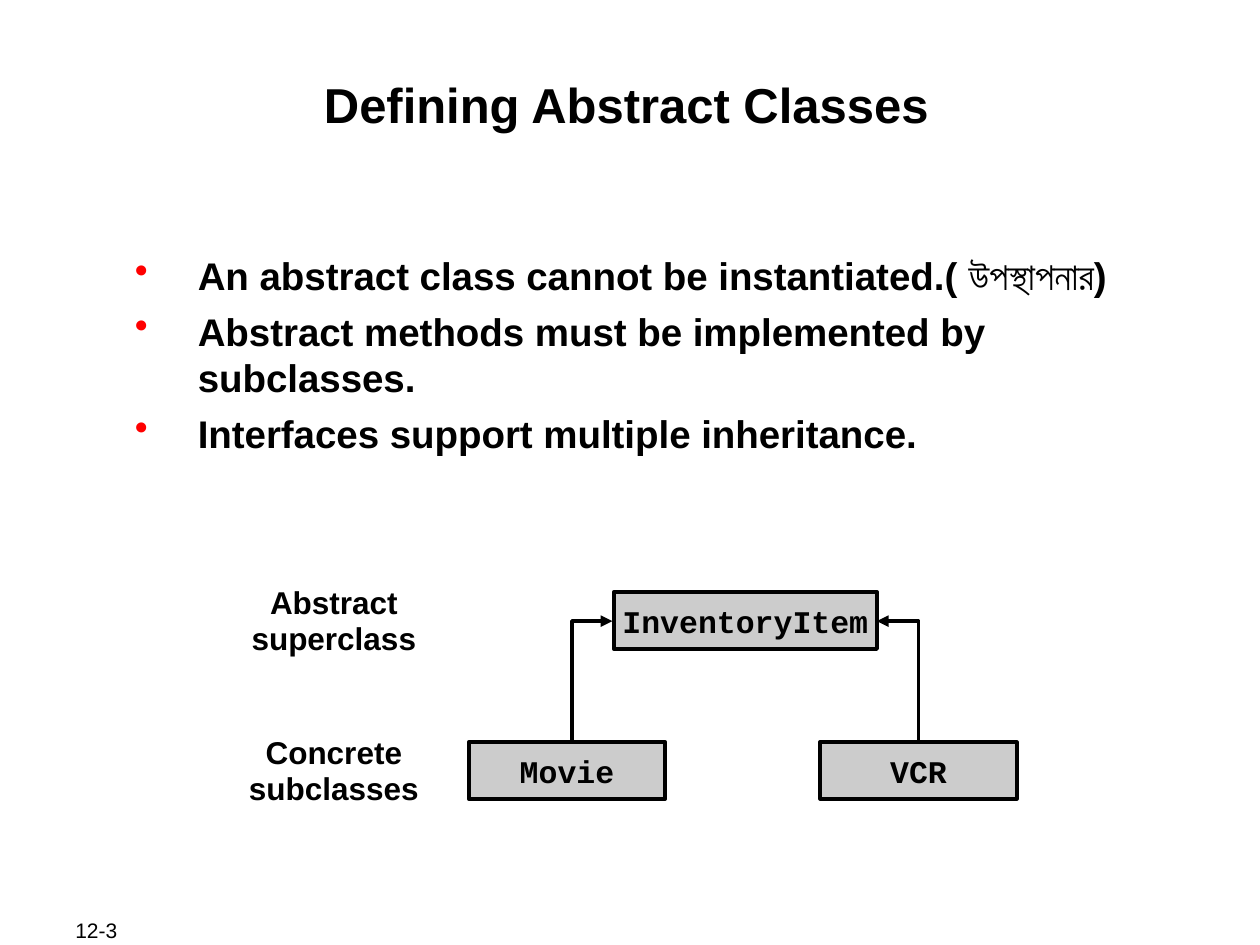
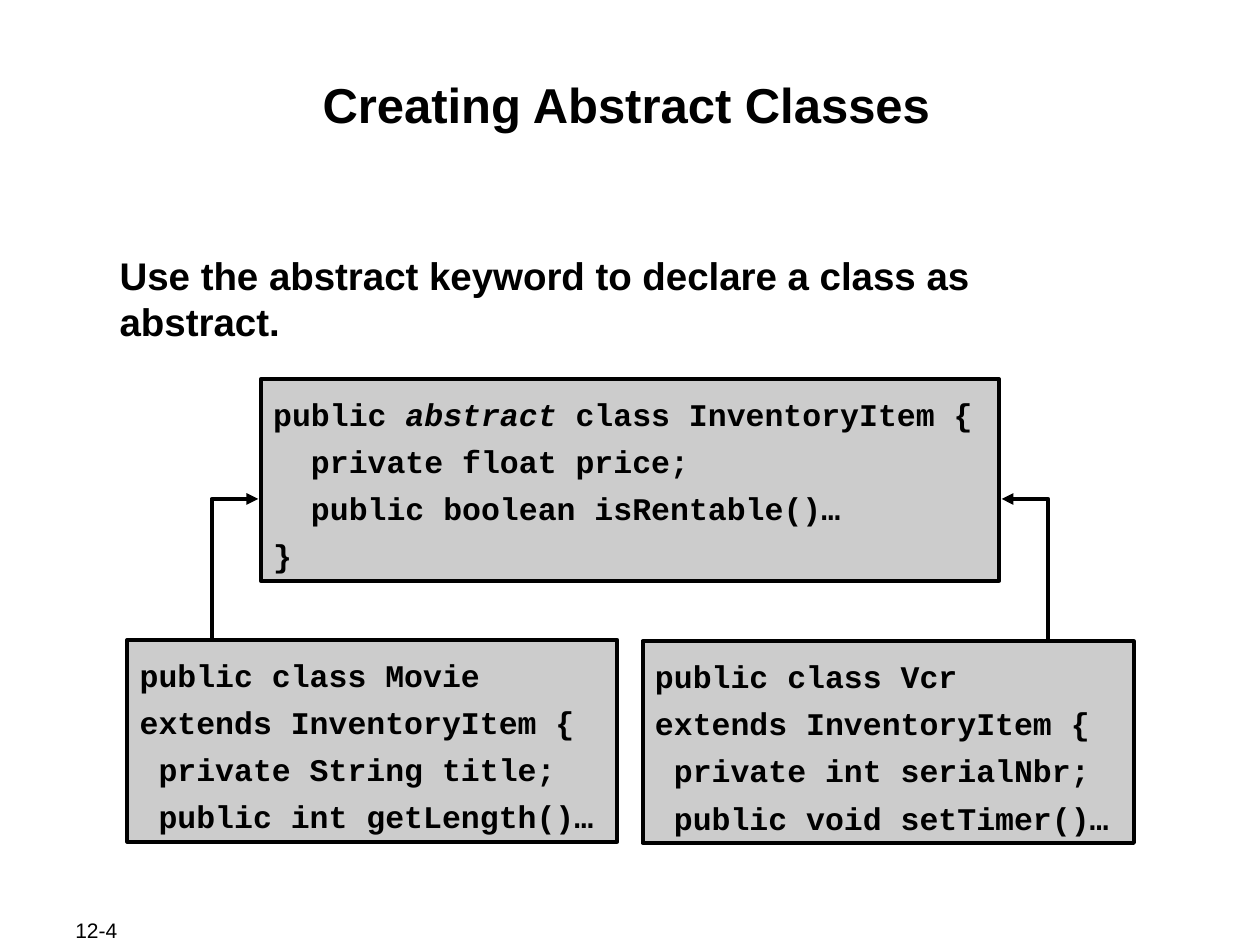
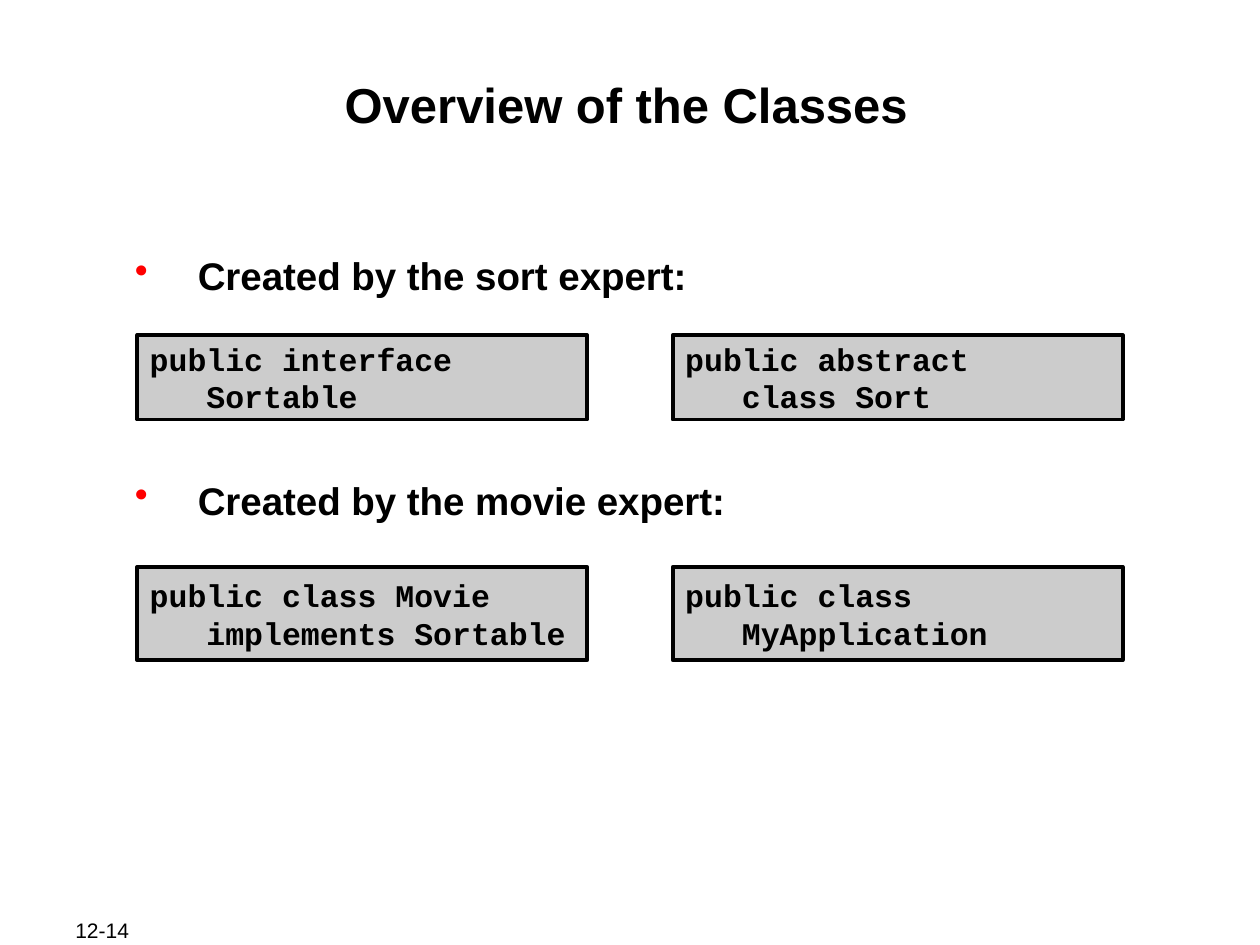
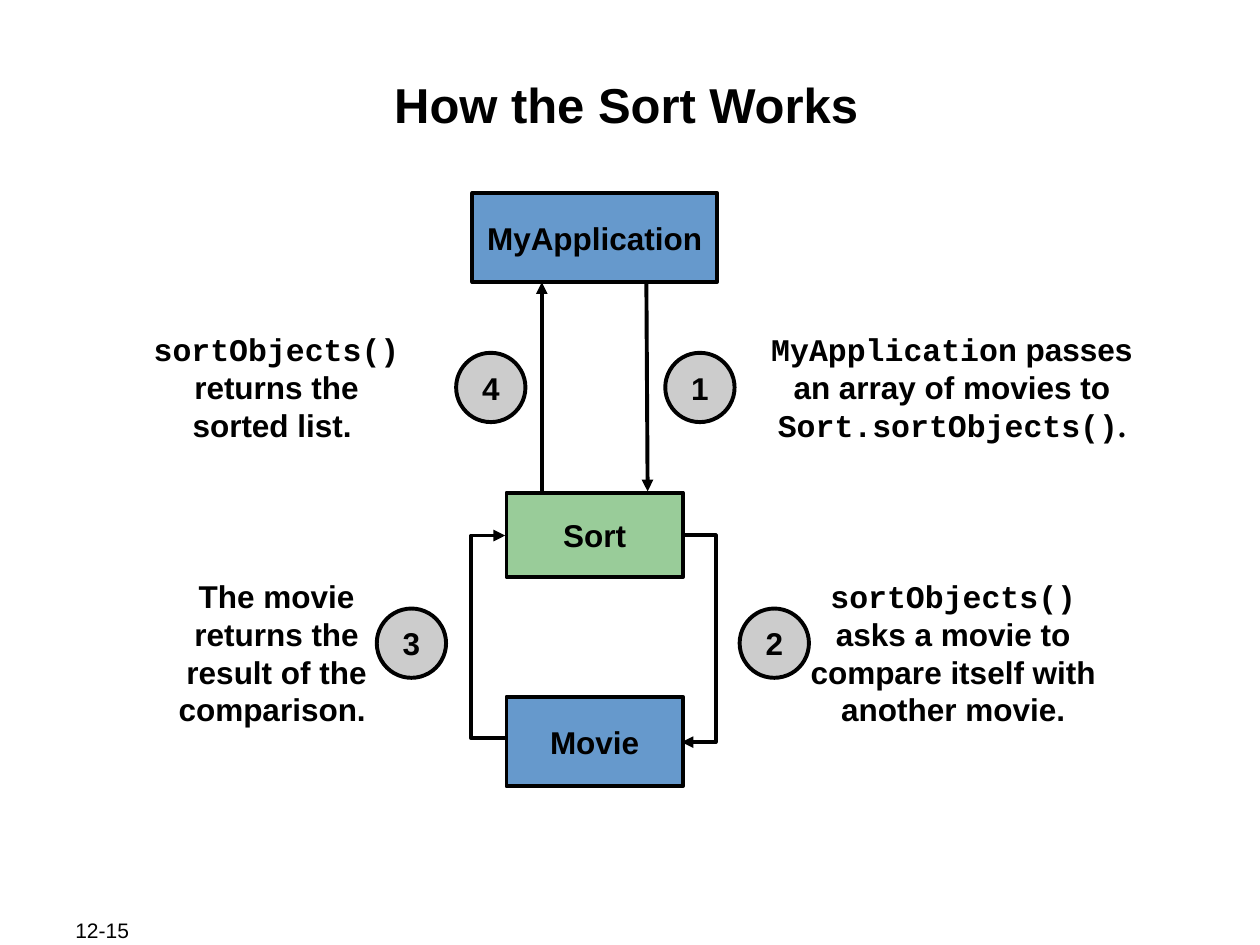
"""Build four slides on abstract classes and sorting."""
from lxml.etree import SubElement
from pptx import Presentation
from pptx.dml.color import RGBColor
from pptx.enum.shapes import MSO_CONNECTOR, MSO_SHAPE
from pptx.enum.text import MSO_ANCHOR, PP_ALIGN
from pptx.oxml.ns import qn
from pptx.util import Inches, Pt

HUES = {"ink": "000000", "gray": "CCCCCC", "blue": "6699CC",
        "green": "99CC99", "dot": "FF0000", "page": "FFFFFF"}
SANS, CODE, SERIF = "Arial", "Courier New", "Times New Roman"
EDGE = 2.24
CHAR = 0.15
BOX, ROUND = MSO_SHAPE.RECTANGLE, MSO_SHAPE.OVAL


def put(slide, text, at, kind=None, fill="gray", face=SANS, size=18, bold=True,
        align="CENTER", wrap=True, anchor="TOP", pad=(0.1, 0.05),
        before=0, lead=None, dots=False):
    """Add a text box or filled shape; leading spaces of a line set its indent."""
    place = [Inches(n) for n in at]
    if kind is None:
        shape = slide.shapes.add_textbox(*place)
    else:
        shape = slide.shapes.add_shape(kind, *place)
        shape.shadow.inherit = False
        shape.fill.solid()
        shape.fill.fore_color.rgb = RGBColor.from_string(HUES[fill])
        shape.line.color.rgb = RGBColor.from_string(HUES["ink"])
        shape.line.width = Pt(EDGE)
    frame = shape.text_frame
    frame.word_wrap = wrap
    frame.vertical_anchor = MSO_ANCHOR[anchor]
    frame.margin_left = frame.margin_right = Inches(pad[0])
    frame.margin_top = frame.margin_bottom = Inches(pad[1])
    for i, line in enumerate([text] if isinstance(text, str) else text):
        para = frame.add_paragraph() if i else frame.paragraphs[0]
        para.alignment = PP_ALIGN[align]
        para.space_before = Pt(before)
        if lead:
            para.line_spacing = lead
        runs = [(line, face, False)] if isinstance(line, str) else line
        depth = len(runs[0][0]) - len(runs[0][0].lstrip())
        props = para._p.get_or_add_pPr()
        if depth:
            props.set("marL", str(Inches(depth * CHAR)))
        if dots:
            props.set("marL", str(Inches(0.62)))
            props.set("indent", str(Inches(-0.5)))
            tint = SubElement(props, qn("a:buClr"))
            SubElement(tint, qn("a:srgbClr"), val=HUES["dot"])
            SubElement(props, qn("a:buChar"), char="•")
        for words, name, slant in runs:
            run = para.add_run()
            run.text = words[depth:] if words == runs[0][0] else words
            run.font.name, run.font.size = name, Pt(size)
            run.font.bold, run.font.italic = bold, slant
            run.font.color.rgb = RGBColor.from_string(HUES["ink"])


def join(slide, *points):
    """Draw an arrow through the points, with its head at the last one."""
    spots = [(Inches(x), Inches(y)) for x, y in points]
    if len(spots) == 2:
        arrow = slide.shapes.add_connector(MSO_CONNECTOR.STRAIGHT, *spots[0], *spots[1])
    else:
        path = slide.shapes.build_freeform(*spots[0])
        path.add_line_segments(spots[1:], close=False)
        arrow = path.convert_to_shape()
        arrow.fill.background()
    arrow.line.color.rgb = RGBColor.from_string(HUES["ink"])
    arrow.line.width = Pt(EDGE)
    props = arrow._element.spPr
    SubElement(props.find(qn("a:ln")), qn("a:tailEnd"), type="triangle")
    SubElement(props, qn("a:effectLst"))


deck = Presentation()
deck.slide_width, deck.slide_height = Inches(10), Inches(7.5)
pages = []
for title, page in [("Defining Abstract Classes", "12-3"),
                    ("Creating Abstract Classes", "12-4"),
                    ("Overview of the Classes", "12-14"),
                    ("How the Sort Works", "12-15")]:
    slide = deck.slides.add_slide(deck.slide_layouts[6])
    slide.background.fill.solid()
    slide.background.fill.fore_color.rgb = RGBColor.from_string(HUES["page"])
    put(slide, page, (0.5, 7.28, 1.06, 0.2), size=12, bold=False,
        align="LEFT", anchor="MIDDLE")
    put(slide, title, (0.97, 0.58, 8, 0.96), size=28, pad=(0.01, 0.01))
    pages.append(slide)
define, create, survey, works = pages

body = dict(size=22, align="LEFT", pad=(0.01, 0.01))
node = dict(kind=BOX, wrap=False, anchor="MIDDLE")
code = dict(kind=BOX, face=CODE, align="LEFT")

put(define, ["An abstract class cannot be instantiated.( উপস্থাপনার)",
             "Abstract methods must be implemented by subclasses.",
             "Interfaces support multiple inheritance."],
    (0.94, 1.99, 8.06, 2.03), before=5.5, dots=True, **body)
for text, top in [("Abstract superclass", 4.6), ("Concrete subclasses", 5.79)]:
    put(define, text, (1.43, top, 2.44, 0.67), lead=0.95)
for text, left, top, wide in [("InventoryItem", 4.87, 4.7, 2.09),
                              ("Movie", 3.72, 5.89, 1.56),
                              ("VCR", 6.51, 5.89, 1.56)]:
    put(define, text, (left, top, wide, 0.45), face=CODE, **node)
for start, end in [(4.54, 4.86), (7.29, 6.96)]:
    join(define, (start, 5.89), (start, 4.93), (end, 4.93))

for start, end in [(1.68, 2.05), (8.32, 7.95)]:
    join(create, (start, 5.25), (start, 3.96), (end, 3.96))
put(create, "Use the abstract keyword to declare a class as abstract.",
    (0.94, 1.99, 8.06, 0.76), **body)
head = [("public ", CODE, False), ("abstract", CODE, True),
        (" class InventoryItem {", CODE, False)]
for lines, at in [
        ([head, "  private float price;", "  public boolean isRentable()…", "}"],
         (2.07, 3.01, 5.86, 1.6)),
        (["public class Movie", "extends InventoryItem {",
          " private String title;", " public int getLength()…"],
         (1.01, 5.08, 3.89, 1.6)),
        (["public class Vcr", "extends InventoryItem {",
          " private int serialNbr;", " public void setTimer()…"],
         (5.1, 5.09, 3.9, 1.6))]:
    put(create, lines, at, lead=1.25, **code)

put(survey, ["Created by the sort expert:", "Created by the movie expert:"],
    (0.94, 1.99, 8.06, 2.17), before=102, dots=True, **body)
for top, high, pair in [
        (2.66, 0.67, (["public interface", "   Sortable"],
                      ["public abstract", "   class Sort"])),
        (4.5, 0.74, (["public class Movie", "   implements Sortable"],
                     ["public class", "   MyApplication"]))]:
    for left, lines in zip((1.09, 5.34), pair):
        put(survey, lines, (left, top, 3.57, high), anchor="MIDDLE", **code)

for runs, at in [
        ([("MyApplication", CODE, False), (" passes an array of movies to ", SANS, False),
          ("Sort.sortObjects()", CODE, False), (".", SERIF, False)],
         (5.99, 2.57, 3.13, 1)),
        ([("sortObjects()", CODE, False),
          (" asks a movie to compare itself with another movie.", SANS, False)],
         (6.29, 4.53, 2.55, 1.3)),
        ("The movie returns the result of the comparison. ", (1.07, 4.53, 2.25, 1.3)),
        ([("sortObjects()", CODE, False), (" returns the sorted list. ", SANS, False)],
         (1.11, 2.57, 2.17, 1))]:
    put(works, [runs], at)
for step, (left, top) in enumerate([(5.28, 2.8), (5.87, 4.83),
                                    (2.99, 4.83), (3.62, 2.8)], 1):
    put(works, str(step), (left, top, 0.55, 0.55), **{**node, "kind": ROUND})
for text, fill, at in [("Sort", "green", (4.02, 3.91, 1.4, 0.67)),
                       ("Movie", "blue", (4.02, 5.53, 1.4, 0.71)),
                       ("MyApplication", "blue", (3.75, 1.53, 1.94, 0.71))]:
    put(works, text, at, fill=fill, **node)
join(works, (5.13, 2.24), (5.14, 3.9))
join(works, (4.3, 3.92), (4.3, 2.24))
join(works, (4.01, 5.86), (3.74, 5.86), (3.74, 4.25), (4.01, 4.25))
join(works, (5.41, 4.25), (5.68, 4.25), (5.68, 5.89), (5.41, 5.89))

deck.save("out.pptx")
